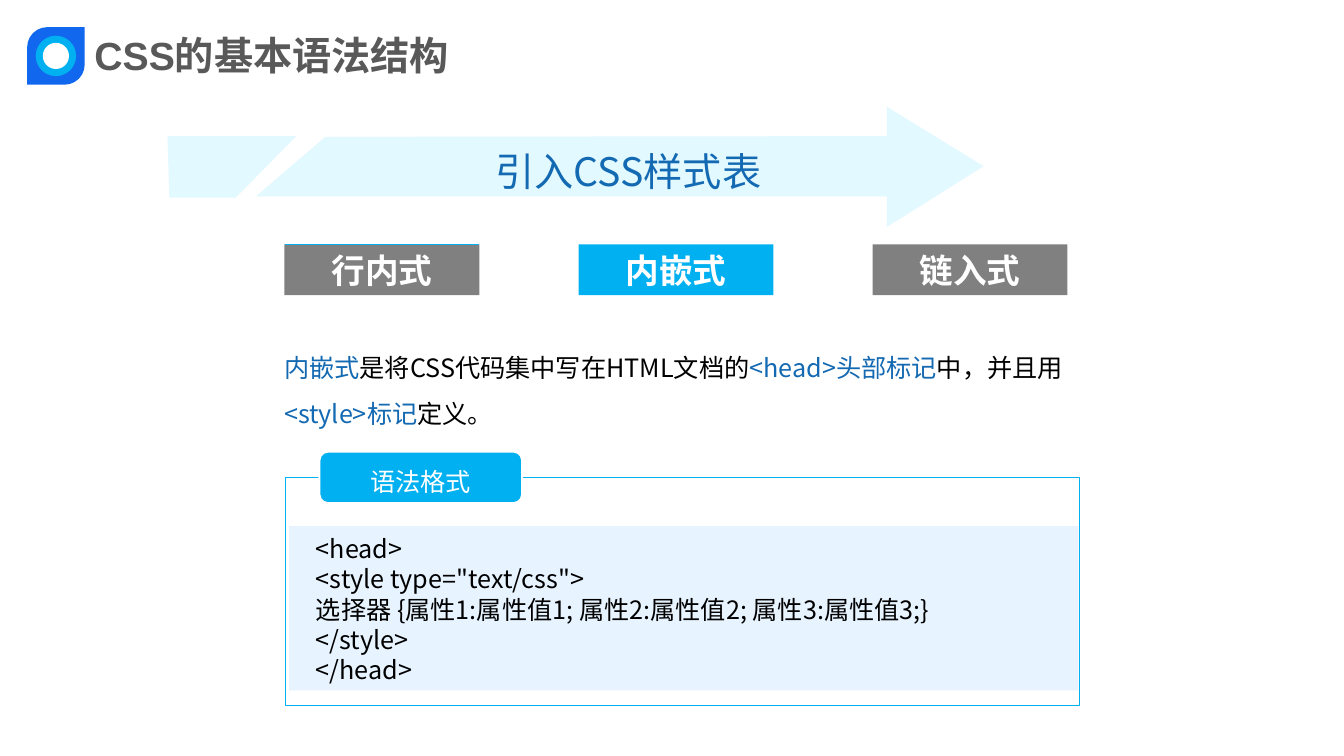
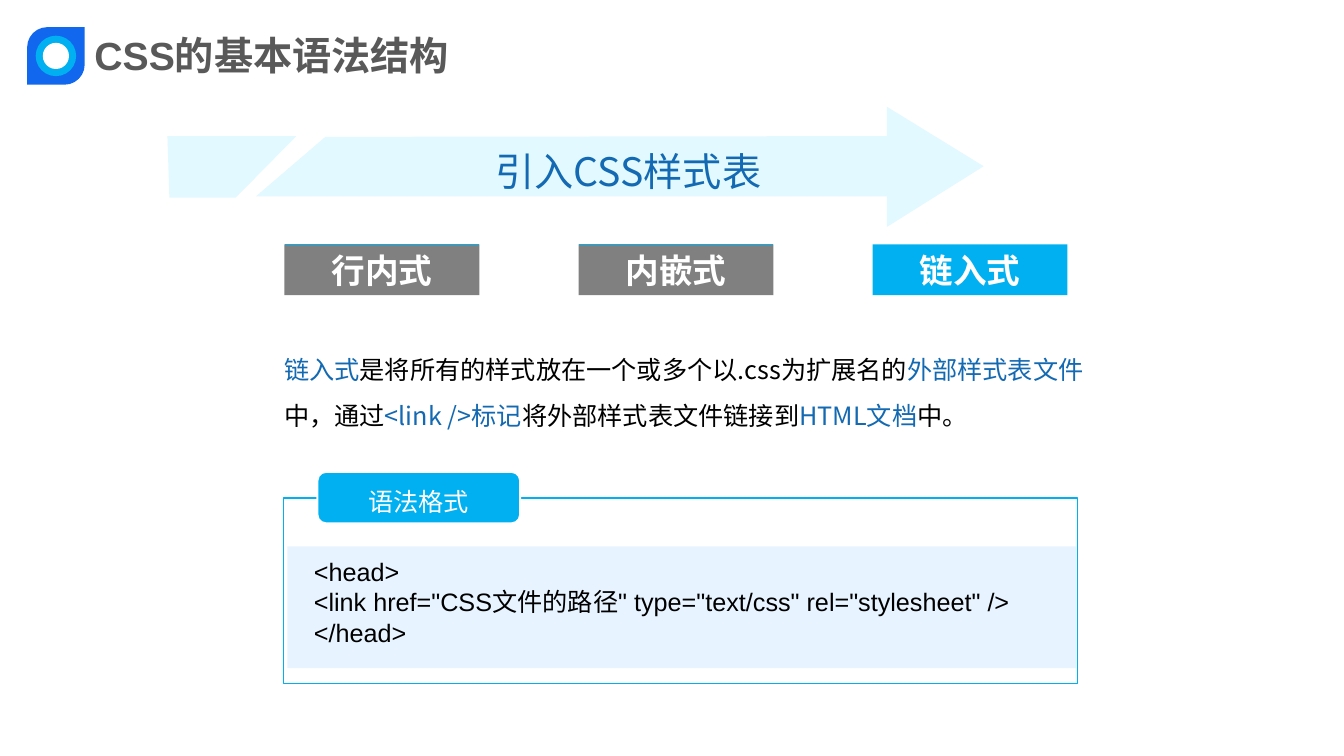
from lxml import etree
from pptx import Presentation
from pptx.dml.color import RGBColor
from pptx.enum import shapes, text
from pptx.oxml import ns
from pptx.util import Cm, Pt

BLUE = RGBColor(0x13, 0x69, 0xB2)
CYAN = RGBColor(0x00, 0xB0, 0xF0)
ROYAL = RGBColor(0x12, 0x67, 0xEF)
PALE = RGBColor(0xE1, 0xF9, 0xFF)
PANEL = RGBColor(0xE7, 0xF4, 0xFF)
GREY = RGBColor(0x80, 0x80, 0x80)
DARK = RGBColor(0x59, 0x59, 0x59)
BLACK = RGBColor(0, 0, 0)
WHITE = RGBColor(0xFF, 0xFF, 0xFF)

CJK = "Noto Sans CJK SC"
LATIN = "Arial"

TITLE = "CSS的基本语法结构"
BANNER = "引入CSS样式表"
LABEL = "语法格式"
TABS = ["行内式", "内嵌式", "链入式"]

ARROW = [(8.2, 3.45), (22.35, 3.43), (22.35, 2.69), (24.79, 4.19),
         (22.35, 5.72), (22.35, 4.95), (6.45, 4.95)]
TAIL = [(4.22, 3.43), (7.47, 3.43), (5.94, 4.98), (4.27, 4.98)]
EMBLEM_CENTRE = 1.41
EMBLEM = [
    (shapes.MSO_SHAPE.ROUND_2_DIAG_RECTANGLE, 1.45, ROYAL),
    (shapes.MSO_SHAPE.OVAL, 1.02, CYAN),
    (shapes.MSO_SHAPE.OVAL, 0.66, WHITE),
]
TAB_LEFT, TAB_TOP, TAB_STEP, TAB_W, TAB_H = 7.17, 6.16, 7.41, 4.91, 1.28

SLIDES = [
    {
        "active": 1,
        "body_top": 8.38,
        "body": [("内嵌式", BLUE), ("是将CSS代码集中写在HTML文档的", BLACK),
                 ("<head>头部标记", BLUE), ("中，并且用", BLACK),
                 ("<style>标记", BLUE), ("定义。", BLACK)],
        "syntax": (7.19, 12.04),
        "panel_h": 4.14,
        "pad": 0.18,
        "code_font": CJK,
        "code": ["<head>", '<style type="text/css">',
                 "选择器 {属性1:属性值1; 属性2:属性值2; 属性3:属性值3;}",
                 "</style>", "</head>"],
    },
    {
        "active": 2,
        "body_top": 8.43,
        "body": [("链入式", BLUE), ("是将所有的样式放在一个或多个以.css为扩展名的", BLACK),
                 ("外部样式表文件", BLUE), ("中，通过", BLACK),
                 ("<link />标记", BLUE), ("将外部样式表文件链接到", BLACK),
                 ("HTML文档", BLUE), ("中。", BLACK)],
        "syntax": (7.14, 12.55),
        "panel_h": 3.07,
        "pad": 0.25,
        "code_font": LATIN,
        "code": ["<head>",
                 '<link href="CSS文件的路径" type="text/css" rel="stylesheet" />',
                 "</head>"],
    },
]


def paint(sp, fill, line=None, width=0.75):
    sp.shadow.inherit = False
    sp.fill.solid()
    sp.fill.fore_color.rgb = fill
    if line is None:
        sp.line.fill.background()
    else:
        sp.line.color.rgb = line
        sp.line.width = Pt(width)


def add_box(s, kind, left, top, width, height, fill, line=None, line_width=0.75):
    sp = s.shapes.add_shape(kind, Cm(left), Cm(top), Cm(width), Cm(height))
    paint(sp, fill, line, line_width)
    return sp


def add_outline(s, points, fill):
    points = [(Cm(x), Cm(y)) for x, y in points]
    builder = s.shapes.build_freeform(*points[0])
    builder.add_line_segments(points[1:], close=True)
    paint(builder.convert_to_shape(), fill)


def write(sp, paragraphs, size, font=CJK, bold=False,
          align=text.PP_ALIGN.LEFT, spacing=None):
    tf = sp.text_frame
    tf.word_wrap = True
    for i, runs in enumerate(paragraphs):
        p = tf.add_paragraph() if i else tf.paragraphs[0]
        p.alignment = align
        if spacing:
            p.line_spacing = spacing
        for words, color in runs:
            r = p.add_run()
            r.text = words
            r.font.size = Pt(size)
            r.font.bold = bold
            r.font.color.rgb = color
            r.font.name = font
            ea = etree.SubElement(r.font._element, ns.qn("a:ea"))
            ea.set("typeface", CJK)


def add_text(s, left, top, width, height, runs, size, **style):
    sp = s.shapes.add_textbox(Cm(left), Cm(top), Cm(width), Cm(height))
    write(sp, [runs], size, **style)


def add_header(s):
    for kind, size, color in EMBLEM:
        start = EMBLEM_CENTRE - size / 2
        sp = add_box(s, kind, start, start, size, size, color)
        if kind == shapes.MSO_SHAPE.ROUND_2_DIAG_RECTANGLE:
            sp.adjustments[0] = 0.35
    add_text(s, 2.13, 0.66, 30.53, 1.45, [(TITLE, DARK)], 28, font=LATIN, bold=True)
    add_outline(s, ARROW, PALE)
    add_outline(s, TAIL, PALE)
    add_text(s, 12.24, 3, 16.69, 1.83, [(BANNER, BLUE)], 28, spacing=1.5)


def add_tabs(s, active):
    for i, name in enumerate(TABS):
        left = TAB_LEFT + i * TAB_STEP
        sp = add_box(s, shapes.MSO_SHAPE.RECTANGLE, left, TAB_TOP, TAB_W, TAB_H,
                     CYAN if i == active else GREY)
        write(sp, [[(name, WHITE)]], 24, bold=True, align=text.PP_ALIGN.CENTER)
        if i < active:
            edge = s.shapes.add_connector(
                shapes.MSO_CONNECTOR.STRAIGHT, Cm(left), Cm(TAB_TOP),
                Cm(left + TAB_W), Cm(TAB_TOP))
            edge.line.color.rgb = CYAN
            edge.line.width = Pt(0.75)
            etree.SubElement(edge._element.spPr, ns.qn("a:effectLst"))


def add_syntax(s, data):
    left, top = data["syntax"]
    height = data["panel_h"]
    add_box(s, shapes.MSO_SHAPE.RECTANGLE, left, top, 20.02, height + 1.6, WHITE, CYAN)

    label = add_box(s, shapes.MSO_SHAPE.ROUNDED_RECTANGLE,
                    left + 0.86, top - 0.66, 5.11, 1.3, CYAN, WHITE, 1.5)
    label.text_frame.margin_top, label.text_frame.margin_bottom = Cm(0.2), Cm(0)
    write(label, [[(LABEL, WHITE)]], 18, align=text.PP_ALIGN.CENTER)

    panel = add_box(s, shapes.MSO_SHAPE.RECTANGLE,
                    left + 0.1, top + 1.22, 19.89, height, PANEL)
    tf = panel.text_frame
    tf.vertical_anchor = text.MSO_ANCHOR.TOP
    tf.margin_left, tf.margin_top = Cm(0.67), Cm(data["pad"])
    write(panel, [[(row, BLACK)] for row in data["code"]], 18, font=data["code_font"])


def main():
    prs = Presentation()
    prs.slide_width, prs.slide_height = Cm(33.87), Cm(19.05)
    for data in SLIDES:
        s = prs.slides.add_slide(prs.slide_layouts[6])
        add_header(s)
        add_tabs(s, data["active"])
        add_text(s, 6.91, data["body_top"], 20.83, 2.41, data["body"], 18, spacing=1.5)
        add_syntax(s, data)
    prs.save("out.pptx")


if __name__ == "__main__":
    main()
